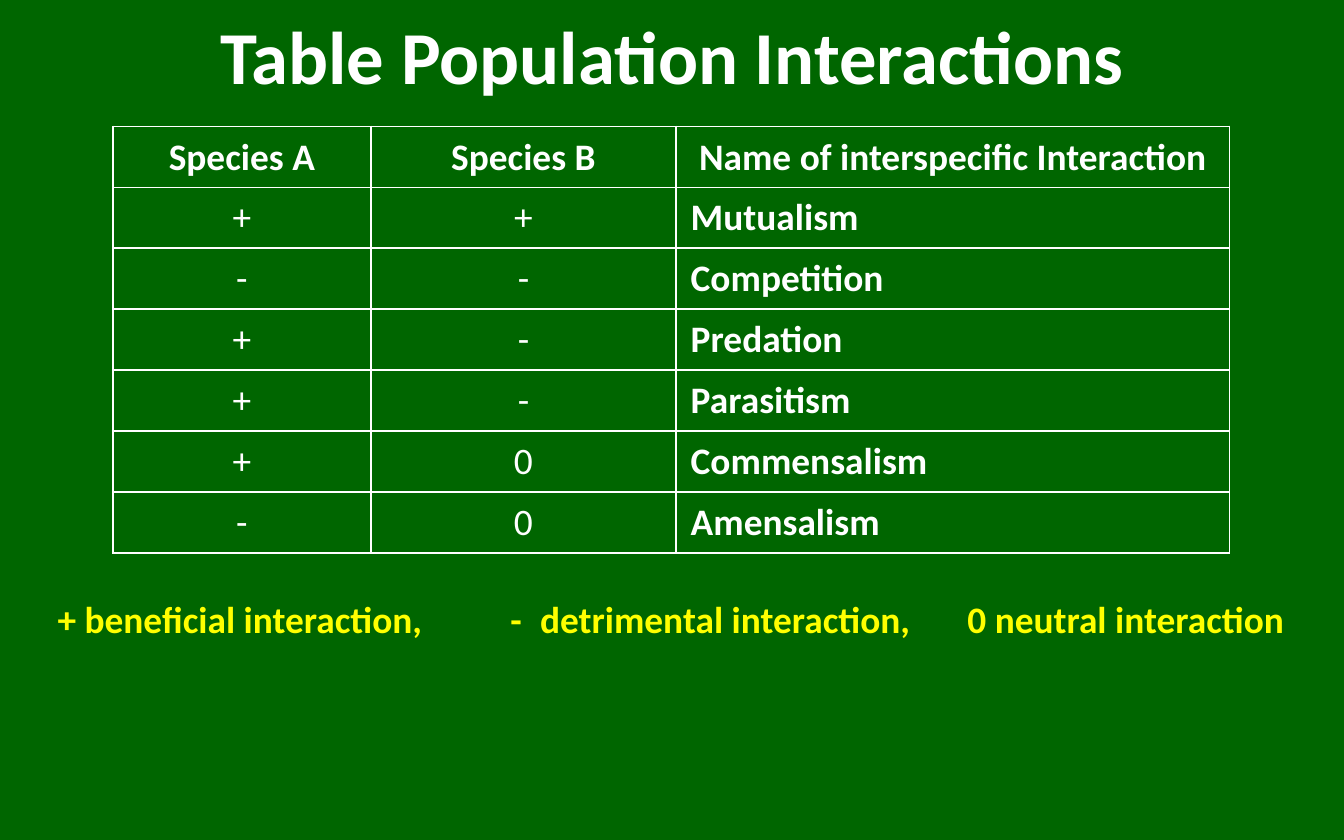
from lxml import etree
from pptx import Presentation
from pptx import util as u
from pptx.dml.color import RGBColor
from pptx.enum import text
from pptx.oxml import ns

WIDTH, HEIGHT = u.Inches(10), u.Inches(6.25)
COLORS = {"background": "006600", "text": "FFFFFF", "legend": "FFFF00"}
FONT = "Calibri"
COLUMN_WIDTHS = [1.92, 2.27, 4.12]
ROW_HEIGHT = 0.45
LEGEND_TABS = [3.37, 3.59, 6.77]
ROWS = [
    ("Species A", "Species B", "Name of interspecific Interaction"),
    ("+", "+", "Mutualism"),
    ("-", "-", "Competition"),
    ("+", "-", "Predation"),
    ("+", "-", "Parasitism"),
    ("+", "0", "Commensalism"),
    ("-", "0", "Amensalism"),
]


def color(name):
    return RGBColor.from_string(COLORS[name])


def write(para, content, size, ink, bold=True, align=text.PP_ALIGN.CENTER):
    para.text = content
    para.alignment = align
    font = para.font
    font.name, font.size, font.bold = FONT, u.Pt(size), bold
    font.color.rgb = color(ink)


def add_box(page, left, top, width, height):
    """Add a wrapping text box, placed by shares of the slide's size."""
    box = page.shapes.add_textbox(int(WIDTH * left), int(HEIGHT * top),
                                  int(WIDTH * width), int(HEIGHT * height))
    box.text_frame.word_wrap = True
    return box.text_frame


def add_title(page):
    frame = add_box(page, 0, -0.018, 1, 0.166)
    frame.vertical_anchor = text.MSO_ANCHOR.MIDDLE
    write(frame.paragraphs[0], "Table Population Interactions", 40, "text")


def add_legend(page):
    para = add_box(page, 0.033, 0.702, 0.96, 0.07).paragraphs[0]
    stops = etree.SubElement(para._p.get_or_add_pPr(), ns.qn("a:tabLst"))
    for position in LEGEND_TABS:
        etree.SubElement(stops, ns.qn("a:tab"), pos=str(u.Inches(position)), algn="l")
    write(para, "+ beneficial interaction,\t-\tdetrimental interaction,\t0 neutral interaction",
          20, "legend", align=text.PP_ALIGN.LEFT)


def add_borders(cell):
    properties = cell._tc.get_or_add_tcPr()
    for side in ("lnL", "lnR", "lnT", "lnB"):
        line = etree.SubElement(properties, ns.qn(f"a:{side}"), w=str(u.Pt(1)))
        fill = etree.SubElement(line, ns.qn("a:solidFill"))
        etree.SubElement(fill, ns.qn("a:srgbClr"), val=COLORS["text"])


def format_cell(cell, content, is_header, is_name):
    add_borders(cell)
    cell.fill.background()
    cell.margin_left = cell.margin_right = u.Inches(0.11)
    cell.margin_top = cell.margin_bottom = u.Inches(0.06)
    left_aligned = is_name and not is_header
    if left_aligned:
        cell.vertical_anchor = text.MSO_ANCHOR.MIDDLE
    write(cell.text_frame.paragraphs[0], content, 20, "text", is_header or is_name,
          text.PP_ALIGN.LEFT if left_aligned else text.PP_ALIGN.CENTER)


def add_interactions(page):
    frame = page.shapes.add_table(
        len(ROWS), len(COLUMN_WIDTHS), u.Inches(0.84), u.Inches(0.94),
        u.Inches(sum(COLUMN_WIDTHS)), u.Inches(ROW_HEIGHT * len(ROWS)))
    table = frame.table
    table.first_row = table.horz_banding = False
    for column, width in zip(table.columns, COLUMN_WIDTHS):
        column.width = u.Inches(width)
    for r, values in enumerate(ROWS):
        table.rows[r].height = u.Inches(ROW_HEIGHT)
        for c, value in enumerate(values):
            format_cell(table.cell(r, c), value, r == 0, c == 2)


def main():
    deck = Presentation()
    deck.slide_width, deck.slide_height = WIDTH, HEIGHT
    page = deck.slides.add_slide(deck.slide_layouts[6])
    page.background.fill.solid()
    page.background.fill.fore_color.rgb = color("background")
    add_title(page)
    add_interactions(page)
    add_legend(page)
    deck.save("out.pptx")


if __name__ == "__main__":
    main()
